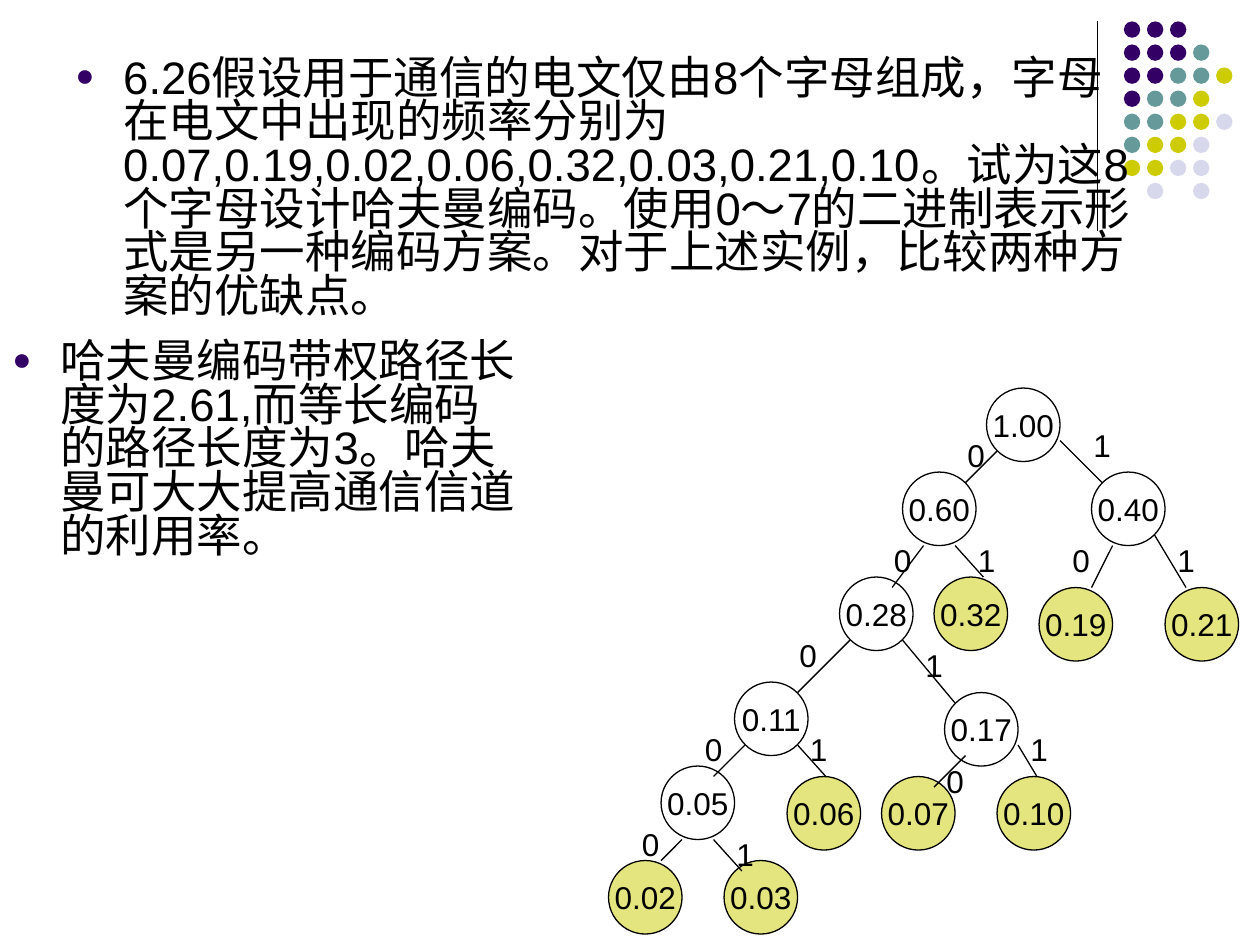
from lxml import etree
from pptx import Presentation
from pptx.dml.color import RGBColor
from pptx.enum.shapes import MSO_CONNECTOR, MSO_SHAPE
from pptx.enum.text import MSO_ANCHOR, PP_ALIGN
from pptx.oxml.ns import qn
from pptx.util import Inches, Pt

OVAL = MSO_SHAPE.OVAL
STRAIGHT = MSO_CONNECTOR.STRAIGHT
MIDDLE = MSO_ANCHOR.MIDDLE
CENTER, LEFT = PP_ALIGN.CENTER, PP_ALIGN.LEFT

BLACK, PURPLE, TEAL, YELLOW, PALE = "000000", "330066", "669999", "CCCC00", "D8D8EC"
DOT_COLORS = {"P": PURPLE, "T": TEAL, "Y": YELLOW, "L": PALE}
DOT_ROWS = ["PPP", "PPPT", "PPTTY", "PTTY", "TTYYL", "TYYL", "YYLL", " L L"]
GRID = 1 / 12
NODE_SIZE = 7 * GRID

QUESTION = (
    "6.26假设用于通信的电文仅由8个字母组成，字母在电文中出现的频率分别为"
    "0.07,0.19,0.02,0.06,0.32,0.03,0.21,0.10。试为这8个字母设计哈夫曼编码。"
    "使用0～7的二进制表示形式是另一种编码方案。对于上述实例，比较两种方案的优缺点。"
)
ANSWER = (
    "哈夫曼编码带权路径长度为2.61,而等长编码的路径长度为3。"
    "哈夫曼可大大提高通信信道的利用率。"
)

INNER_NODES = [
    ("1.00", 36, 0), ("0.60", 28, 8), ("0.40", 46, 8), ("0.28", 22, 18),
    ("0.11", 12, 28), ("0.17", 32, 29), ("0.05", 5, 36),
]
LEAF_NODES = [
    ("0.32", 31, 18), ("0.19", 41, 19), ("0.21", 53, 19), ("0.06", 17, 37),
    ("0.07", 26, 37), ("0.10", 37, 37), ("0.02", 0, 45), ("0.03", 11, 45),
]
BRANCHES = [
    ("0", (37, 6), (34, 9), (33, 4)), ("1", (43, 5), (47, 9), (45, 3)),
    ("0", (30, 15), (27, 19), (26, 14)), ("1", (33, 15), (35.7, 18), (34, 14)),
    ("0", (48, 15), (46, 19), (43, 14)), ("1", (52, 14), (55, 19), (53, 14)),
    ("0", (23, 24), (18, 29), (17, 23)), ("1", (28, 24), (33, 30), (29, 24)),
    ("0", (13, 34), (10, 37), (8, 32)), ("1", (18, 34), (20.7, 37), (18, 32)),
    ("0", (34, 35), (31, 38), (31, 35)), ("1", (39, 34), (40.8, 37), (39, 32)),
    ("0", (7, 43), (5, 45), (2, 41)), ("1", (10, 43), (12.7, 46), (11, 42)),
]


def color(value):
    """Turn a hex string into a colour."""
    return RGBColor.from_string(value)


def write(shape, text, size, align=LEFT):
    """Write one paragraph into a shape and return it."""
    para = shape.text_frame.paragraphs[0]
    para.alignment = align
    span = para.add_run()
    span.text = text
    for name, value in {"name": "Arial", "size": Pt(size)}.items():
        setattr(span.font, name, value)
    span.font.color.rgb = color(BLACK)
    return para


def add_text(page, box, text, size, wrap):
    """Place a text box and return its paragraph."""
    shape = page.shapes.add_textbox(*map(Inches, box))
    shape.text_frame.word_wrap = wrap
    return write(shape, text, size)


def add_bullet_text(page, box, text):
    """Place a bulleted paragraph in tight lines."""
    para = add_text(page, box, text, 26, True)
    para.line_spacing = 0.8
    properties = para._p.get_or_add_pPr()
    properties.set("marL", str(Inches(0.38)))
    properties.set("indent", str(Inches(-0.38)))
    bullet_color = etree.SubElement(properties, qn("a:buClr"))
    etree.SubElement(bullet_color, qn("a:srgbClr"), val=PURPLE)
    etree.SubElement(properties, qn("a:buSzPct"), val="70000")
    etree.SubElement(properties, qn("a:buFont"), typeface="Arial")
    etree.SubElement(properties, qn("a:buChar"), char="●")


def add_line(page, start, end):
    """Draw a thin black line between two points."""
    line = page.shapes.add_connector(STRAIGHT, *map(Inches, (*start, *end)))
    line.line.color.rgb = color(BLACK)
    line.line.width = Pt(0.75)
    etree.SubElement(line._element.spPr, qn("a:effectLst"))


def add_oval(page, left, top, size, fill=None):
    """Draw a circle, filled when a colour is given."""
    oval = page.shapes.add_shape(OVAL, *map(Inches, (left, top, size, size)))
    oval.shadow.inherit = False
    if fill:
        oval.fill.solid()
        oval.fill.fore_color.rgb = color(fill)
    else:
        oval.fill.background()
    return oval


def add_dots(page, left, top, pitch=0.183):
    """Draw the corner pattern of coloured dots."""
    for row, letters in enumerate(DOT_ROWS):
        for column, letter in enumerate(letters):
            if letter in DOT_COLORS:
                dot = add_oval(page, left + column * pitch, top + row * pitch,
                               0.13, DOT_COLORS[letter])
                dot.line.fill.background()


def add_node(page, left, top, text, fill=None):
    """Draw a tree node, half transparent when filled."""
    node = add_oval(page, left, top, NODE_SIZE, fill)
    if fill:
        fill_value = node._element.spPr.find(f".//{qn('a:srgbClr')}")
        etree.SubElement(fill_value, qn("a:alpha"), val="50000")
    node.line.color.rgb = color(BLACK)
    node.line.width = Pt(0.75)
    for name, value in {"word_wrap": False, "vertical_anchor": MIDDLE}.items():
        setattr(node.text_frame, name, value)
    write(node, text, 18, CENTER)


def add_tree(page, left, top):
    """Draw the code tree on a grid from its top left corner."""
    def place(column, row):
        """Turn a grid position into inches on the page."""
        return left + column * GRID, top + row * GRID

    for nodes, fill in ((INNER_NODES, None), (LEAF_NODES, YELLOW)):
        for text, column, row in nodes:
            add_node(page, *place(column, row), text, fill)
    for _, start, end, _ in BRANCHES:
        add_line(page, place(*start), place(*end))
    for bit, _, _, label in BRANCHES:
        add_text(page, (*place(*label), 0.34, 0.4), bit, 18, False)


def main():
    """Build the slide and save it."""
    deck = Presentation()
    deck.slide_width, deck.slide_height = Inches(10), Inches(7.5)
    page = deck.slides.add_slide(deck.slide_layouts[6])
    add_line(page, (8.71, 0.17), (8.71, 1.83))
    add_dots(page, 8.92, 0.17)
    add_bullet_text(page, (0.5, 0.42, 8.67, 2.25), QUESTION)
    add_tree(page, 4.83, 3.08)
    add_bullet_text(page, (0, 2.67, 4.25, 4.08), ANSWER)
    deck.save("out.pptx")


if __name__ == "__main__":
    main()
